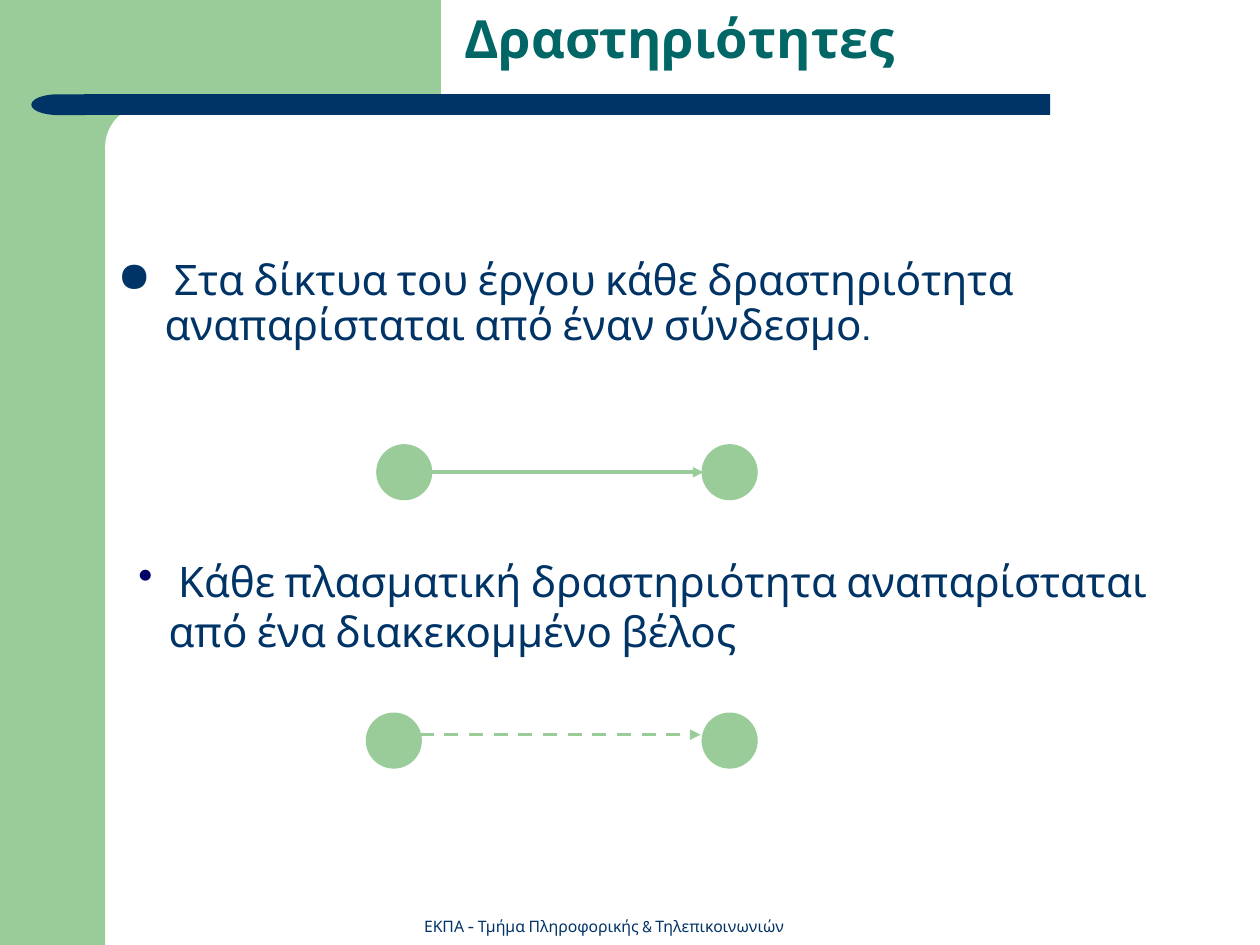
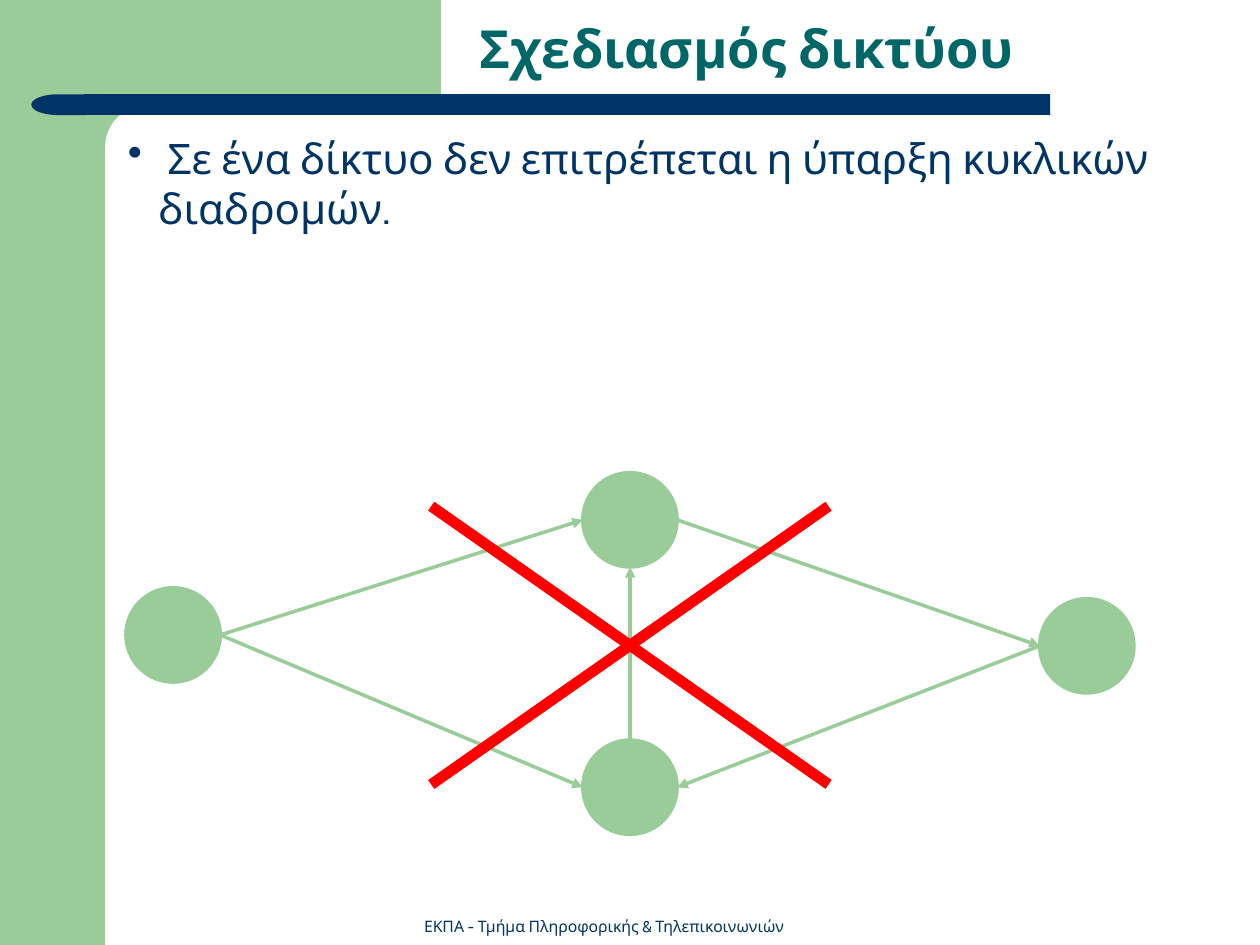
from lxml.etree import SubElement
from pptx import Presentation
from pptx.dml.color import RGBColor
from pptx.enum.dml import MSO_LINE
from pptx.enum.shapes import MSO_CONNECTOR, MSO_SHAPE
from pptx.enum.text import MSO_ANCHOR, MSO_AUTO_SIZE, PP_ALIGN
from pptx.oxml.ns import qn
from pptx.util import Cm, Pt

GREEN, NAVY, TEAL = "99CC99", "003366", "006666"
WHITE, RED, INDIGO = "FFFFFF", "FF0000", "000066"
FONT = "Cabin"
FOOTER = "ΕΚΠΑ - Τμήμα Πληροφορικής & Τηλεπικοινωνιών"


def tint(fmt, color):
    """Set the colour of a fill or font format."""
    fmt.rgb = RGBColor.from_string(color)


def style(par, size, color, bold=False):
    """Format every run of a paragraph."""
    for run in par.runs:
        run.font.name = FONT
        run.font.size = Pt(size)
        run.font.bold = bold
        tint(run.font.color, color)


def shape(slide, kind, box, color, turn=0):
    """Add a plain filled shape."""
    item = slide.shapes.add_shape(kind, *map(Cm, box))
    item.shadow.inherit = False
    item.fill.solid()
    tint(item.fill.fore_color, color)
    item.line.fill.background()
    item.rotation = turn
    return item


def label(slide, box, text, size, color):
    """Add a wrapped text box and return its frame."""
    frame = slide.shapes.add_textbox(*map(Cm, box)).text_frame
    frame.word_wrap = True
    frame.text = text
    style(frame.paragraphs[0], size, color)
    return frame


def bullet(slide, box, text, mark, size, color=NAVY, hang=0.61, space=1.0):
    """Add one bulleted paragraph with a hanging indent."""
    par = label(slide, box, text, 24, NAVY).paragraphs[0]
    par.line_spacing = space
    props = par._p.get_or_add_pPr()
    props.set("marL", str(Cm(hang)))
    props.set("indent", str(-Cm(hang)))
    SubElement(SubElement(props, qn("a:buClr")), qn("a:srgbClr"), val=color)
    SubElement(props, qn("a:buSzPts"), val=str(size * 100))
    SubElement(props, qn("a:buChar"), char=mark)


def node(slide, left, top, size):
    """Add a network node."""
    item = shape(slide, MSO_SHAPE.OVAL, (left, top, size, size), GREEN)
    item.line.fill.solid()
    tint(item.line.color, GREEN)
    item.line.width = Pt(2)
    return item


def edge(item, across, down):
    """Give the point on a node's rim in the given direction."""
    return (item.left + item.width * (1 + across) // 2,
            item.top + item.height * (1 + down) // 2)


def arrow(slide, start, end, dash=None):
    """Add an arrow between two points."""
    link = slide.shapes.add_connector(MSO_CONNECTOR.STRAIGHT, *start, *end)
    tint(link.line.color, GREEN)
    link.line.width = Pt(2)
    if dash:
        link.line.dash_style = dash
    SubElement(link.line._get_or_add_ln(), qn("a:tailEnd"), type="triangle")
    SubElement(link._element.spPr, qn("a:effectLst"))


def frame_slide(deck, text, left, top):
    """Add a slide with its bands, title and footer."""
    slide = deck.slides.add_slide(deck.slide_layouts[5])
    shape(slide, MSO_SHAPE.RECTANGLE, (0, 0, 2.12, 19.05), GREEN)
    shape(slide, MSO_SHAPE.RECTANGLE, (1.9, 0, 6.99, 2.96), GREEN)
    panel = shape(slide, MSO_SHAPE.ROUNDED_RECTANGLE,
                  (2.12, 2.12, 14.18, 1.69), WHITE)
    panel.adjustments[0] = 0.5
    shape(slide, MSO_SHAPE.RECTANGLE, (1.69, 1.9, 19.48, 0.42), NAVY)
    shape(slide, MSO_SHAPE.FLOWCHART_DELAY, (0.63, 1.9, 1.09, 0.42), NAVY, 180)

    title = slide.shapes.title
    title.left, title.top = Cm(left), Cm(top)
    title.width, title.height = Cm(25.4 - left), Cm(1.52)
    head = title.text_frame
    head.text = text
    head.auto_size = MSO_AUTO_SIZE.NONE
    head.vertical_anchor = MSO_ANCHOR.TOP
    head.paragraphs[0].alignment = PP_ALIGN.LEFT
    style(head.paragraphs[0], 30, TEAL, True)

    foot = label(slide, (8.15, 18.34, 8.05, 0.64), FOOTER, 9, NAVY)
    foot.vertical_anchor = MSO_ANCHOR.BOTTOM
    foot.paragraphs[0].alignment = PP_ALIGN.CENTER
    return slide


def tasks(deck):
    """Build the slide on activities."""
    slide = frame_slide(deck, "Δραστηριότητες", 9.1, 0)
    bullet(slide, (2.12, 5.1, 21.6, 2.6),
           " Στα δίκτυα του έργου κάθε δραστηριότητα αναπαρίσταται "
           "από έναν σύνδεσμο.", "●", 27, hang=0.95, space=0.9)
    first, last = [node(slide, left, 8.99, 1.06) for left in (7.62, 14.18)]
    arrow(slide, edge(first, 1, 0), edge(last, -1, 0))

    bullet(slide, (2.54, 11.07, 21.17, 2.6),
           " Κάθε πλασματική δραστηριότητα αναπαρίσταται "
           "από ένα διακεκομμένο βέλος", "•", 24, INDIGO)
    for left in (7.41, 14.18):
        node(slide, left, 14.4, 1.06)
    arrow(slide, (Cm(8.46), Cm(14.81)), (Cm(14.12), Cm(14.81)), MSO_LINE.DASH)


def design(deck):
    """Build the slide on network design."""
    slide = frame_slide(deck, "Σχεδιασμός δικτύου", 9.42, 0.2)
    bullet(slide, (2.33, 2.54, 23.07, 2.6),
           " Σε ένα δίκτυο δεν επιτρέπεται η ύπαρξη κυκλικών διαδρομών.",
           "•", 18)
    spots = ((2.54, 11.85), (11.75, 9.53), (11.75, 14.92), (20.96, 12.07))
    start, high, low, end = [node(slide, *spot, 1.9) for spot in spots]
    arrow(slide, edge(start, 1, 0), edge(high, -1, 0))
    arrow(slide, edge(start, 1, 0), edge(low, -1, 0))
    arrow(slide, edge(high, 1, 0), edge(end, -1, 0))
    arrow(slide, edge(end, -1, 0), edge(low, 1, 0))
    arrow(slide, edge(low, 0, -1), edge(high, 0, 1))
    for turn in (325, 35):
        shape(slide, MSO_SHAPE.RECTANGLE, (7.81, 12.9, 9.78, 0.22), RED, turn)


def main():
    """Build and save both slides."""
    deck = Presentation()
    deck.slide_width, deck.slide_height = Cm(25.4), Cm(19.05)
    tasks(deck)
    design(deck)
    deck.save("out.pptx")


if __name__ == "__main__":
    main()
